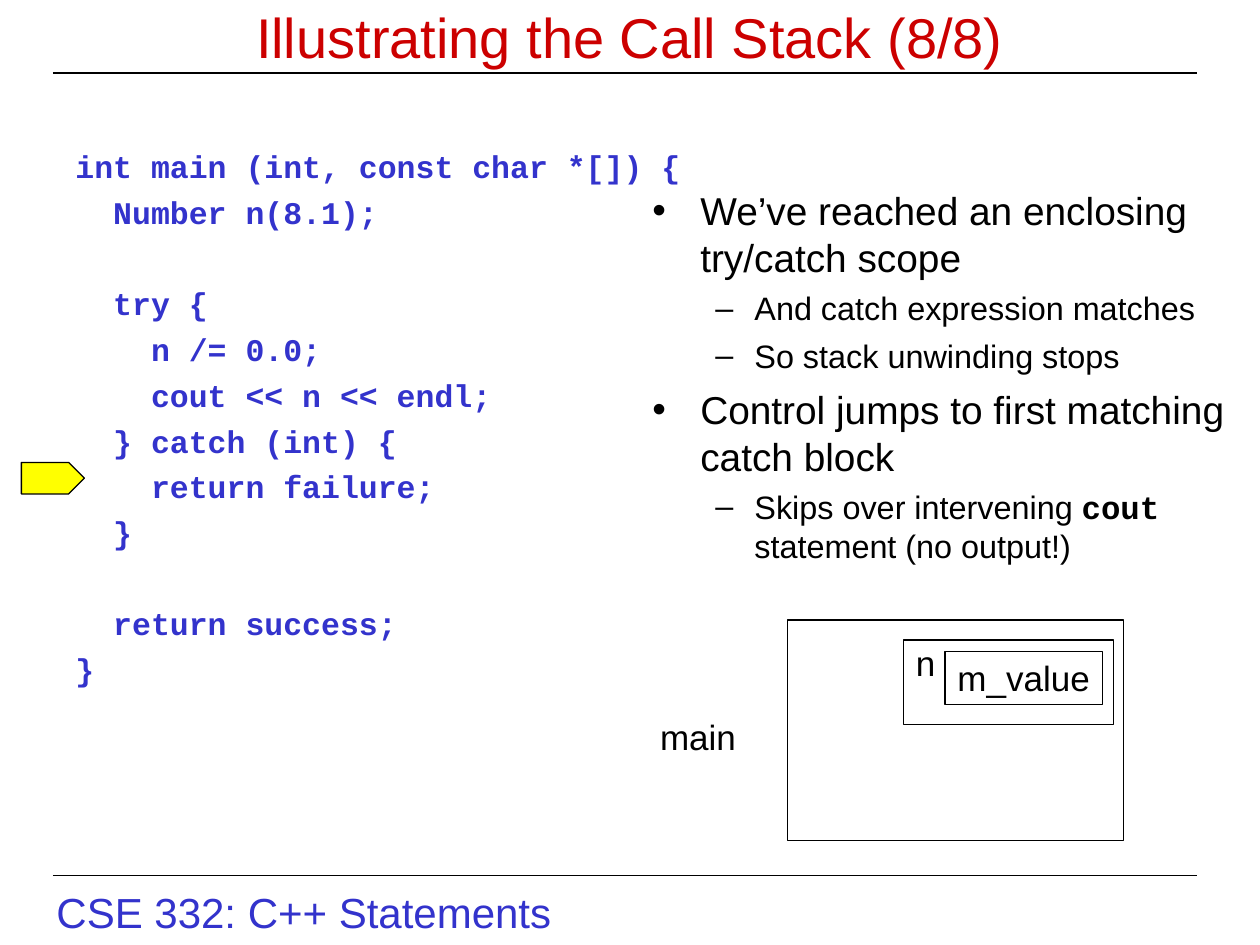
from dataclasses import dataclass

from lxml.etree import SubElement
from pptx import Presentation
from pptx.dml.color import RGBColor
from pptx.enum.shapes import MSO_CONNECTOR, MSO_SHAPE
from pptx.enum.text import MSO_ANCHOR, PP_ALIGN
from pptx.oxml.ns import qn
from pptx.util import Inches, Pt


@dataclass(frozen=True)
class Theme:
    red: str = "CC0000"
    blue: str = "3333CC"
    black: str = "000000"
    white: str = "FFFFFF"
    yellow: str = "FFFF00"
    sans: str = "Arial"
    mono: str = "Courier New"
    title: float = 32
    footer: float = 24
    label: float = 20
    code: float = 18
    bullet: float = 22.2
    sub_bullet: float = 18.5
    rule: float = 0.75


THEME = Theme()

CODE = """int main (int, const char *[]) {
  Number n(8.1);

  try {
    n /= 0.0;
    cout << n << endl;
  } catch (int) {
    return failure;
  }

  return success;
}"""

# Level, then runs of (text, is code)
POINTS = [
    (0, [("We’ve reached an enclosing try/catch scope", False)]),
    (1, [("And catch expression matches", False)]),
    (1, [("So stack unwinding stops", False)]),
    (0, [("Control jumps to first matching catch block", False)]),
    (1, [("Skips over intervening ", False), ("cout ", True),
         ("statement (no output!)", False)]),
]


def add_run(p, text, size, color=THEME.black, font=THEME.sans, bold=False):
    r = p.add_run()
    r.text = text
    r.font.size = Pt(size)
    r.font.name = font
    r.font.bold = bold
    r.font.color.rgb = RGBColor.from_string(color)


def set_frame(s, wrap=True, anchor=MSO_ANCHOR.TOP, top=0.05):
    tf = s.text_frame
    tf.word_wrap = wrap
    tf.vertical_anchor = anchor
    tf.margin_top = Inches(top)
    return tf


def write(s, text, size, align=PP_ALIGN.LEFT, color=THEME.black, **frame):
    """Put one line of text in a shape; other keywords go to set_frame."""
    p = set_frame(s, **frame).paragraphs[0]
    p.alignment = align
    add_run(p, text, size, color)


def add_box(slide, box):
    return slide.shapes.add_textbox(*map(Inches, box))


def add_outlined(slide, kind, box, fill=THEME.white):
    s = slide.shapes.add_shape(kind, *map(Inches, box))
    s.shadow.inherit = False
    s.fill.solid()
    s.fill.fore_color.rgb = RGBColor.from_string(fill)
    s.line.color.rgb = RGBColor.from_string(THEME.black)
    s.line.width = Pt(THEME.rule)
    return s


def add_rule(slide, left, right, y):
    line = slide.shapes.add_connector(
        MSO_CONNECTOR.STRAIGHT, Inches(left), Inches(y), Inches(right), Inches(y))
    line.line.color.rgb = RGBColor.from_string(THEME.black)
    line.line.width = Pt(THEME.rule)
    SubElement(line._element.spPr, qn("a:effectLst"))


def next_paragraph(tf, index):
    return tf.add_paragraph() if index else tf.paragraphs[0]


def set_bullet(p, char, left, hang):
    pPr = p._p.get_or_add_pPr()
    pPr.set("marL", str(Inches(left)))
    pPr.set("indent", str(-Inches(hang)))
    SubElement(pPr, qn("a:buFont")).set("typeface", THEME.sans)
    SubElement(pPr, qn("a:buChar")).set("char", char)


def add_frame(slide, title, footer):
    for y in (0.58, 6.95):
        add_rule(slide, 0.42, 9.5, y)
    write(add_box(slide, (0.25, 0, 9.5, 0.58)), title, THEME.title,
          align=PP_ALIGN.CENTER, color=THEME.red, anchor=MSO_ANCHOR.MIDDLE)
    write(add_box(slide, (0.35, 6.99, 4.13, 0.5)), footer, THEME.footer,
          color=THEME.blue, wrap=False)


def add_code(slide, box, code):
    """List the code; an empty line becomes space before the next line."""
    tf = set_frame(add_box(slide, box), top=0.09)
    pitch, gap = 21.6, 4.5
    index = space = 0
    for line in code.splitlines():
        if not line:
            space += pitch + gap
            continue
        p = next_paragraph(tf, index)
        p.line_spacing = Pt(pitch)
        p.space_before = Pt(space)
        add_run(p, line, THEME.code, THEME.blue, THEME.mono, bold=True)
        index, space = index + 1, gap


def add_points(slide, box, points):
    levels = [
        dict(char="•", left=0.38, hang=0.38, size=THEME.bullet, pitch=26.8, gap=6),
        dict(char="–", left=0.81, hang=0.31, size=THEME.sub_bullet, pitch=22, gap=5),
    ]
    tf = set_frame(add_box(slide, box), top=0.06)
    for i, (level, runs) in enumerate(points):
        style = levels[level]
        p = next_paragraph(tf, i)
        p.level = level
        set_bullet(p, style["char"], style["left"], style["hang"])
        p.line_spacing = Pt(style["pitch"])
        p.space_before = Pt(style["gap"] if i else 0)
        for text, is_code in runs:
            add_run(p, text, style["size"], bold=is_code,
                    font=THEME.mono if is_code else THEME.sans)


def add_stack(slide, box):
    """Draw the frame of main with the variable n and its member inside."""
    left, top, width, height = box
    rect = MSO_SHAPE.RECTANGLE
    add_outlined(slide, rect, box)
    variable = add_outlined(slide, rect, (left + 0.92, top + 0.16, 1.67, 0.67))
    write(variable, "n", THEME.label, top=0.01)
    member = add_outlined(slide, rect, (left + 1.25, top + 0.25, 1.25, 0.42))
    write(member, "m_value", THEME.label, wrap=False, anchor=MSO_ANCHOR.MIDDLE)
    write(add_box(slide, (left - 1.11, top + 0.71, 0.8, 0.44)), "main",
          THEME.label, wrap=False)


def main():
    prs = Presentation()
    prs.slide_width, prs.slide_height = Inches(10), Inches(7.5)
    slide = prs.slides.add_slide(prs.slide_layouts[6])
    add_frame(slide, "Illustrating the Call Stack (8/8)", "CSE 332: C++ Statements")
    add_code(slide, (0.5, 1.08, 5.42, 5.42), CODE)
    add_points(slide, (5.08, 1.42, 4.83, 3.25), POINTS)
    add_stack(slide, (6.25, 4.92, 2.67, 1.75))
    add_outlined(slide, MSO_SHAPE.PENTAGON, (0.17, 3.67, 0.5, 0.25), THEME.yellow)
    prs.save("out.pptx")


if __name__ == "__main__":
    main()
